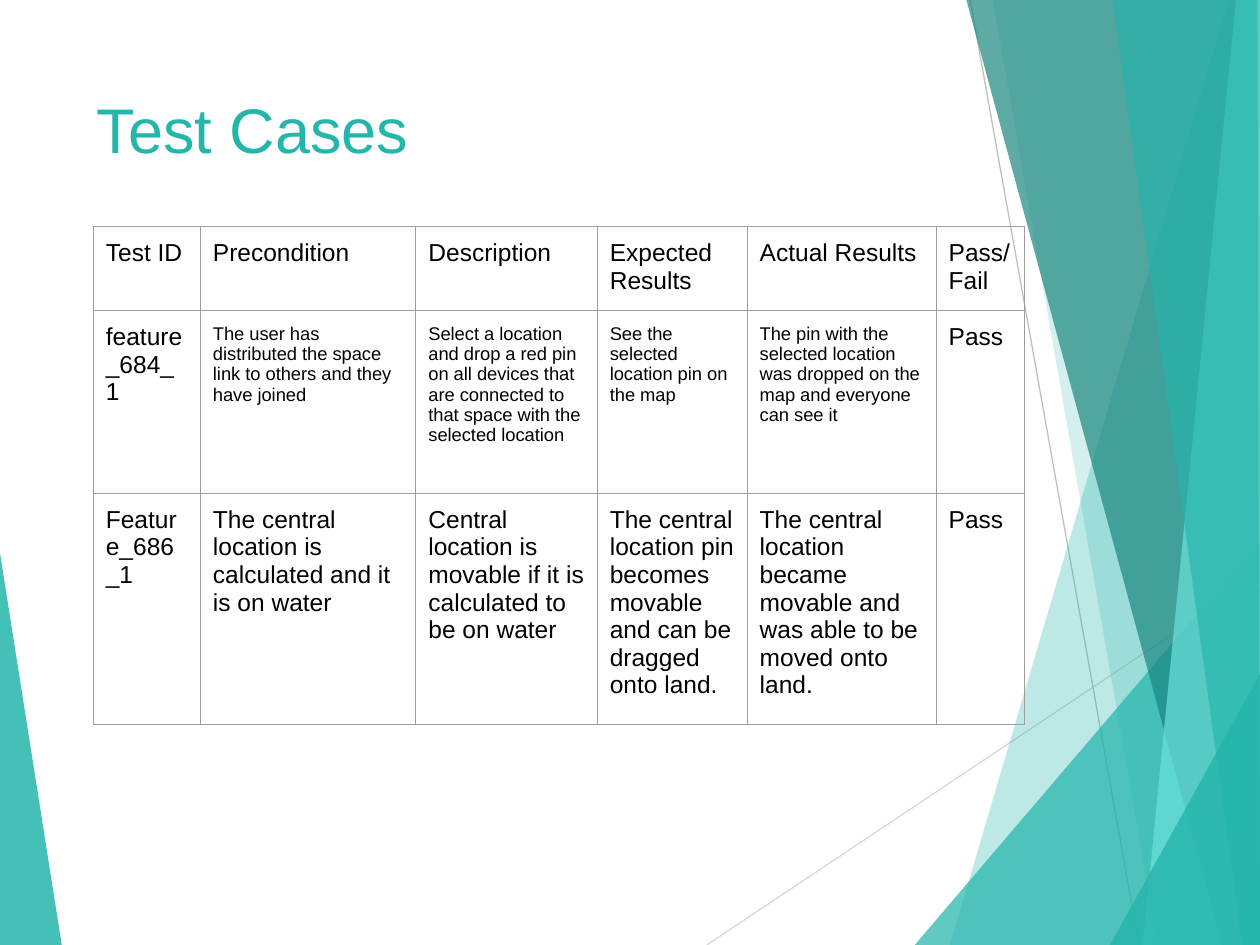
import pptx
import pptx.util
import pptx.dml.color
import pptx.enum.shapes
import pptx.enum.text
from pptx.oxml import parse_xml
from pptx.oxml.ns import qn, nsdecls
from lxml import etree

Inches = pptx.util.Inches
Pt = pptx.util.Pt

COLORS = {
    "teal": "24B5AB",
    "deep": "1A8780",
    "aqua": "6AE2D9",
    "ray_light": "D8D8D8",
    "ray_dark": "BFBFBF",
    "border": "9E9E9E",
    "text": "000000",
}

COLUMN_WIDTHS = [0.85, 1.71, 1.44, 1.19, 1.5, 0.7]
ROW_HEIGHTS = [0.63, 1.45, 1.73]
TEST_CASES = [
    ["Test ID", "Precondition", "Description", "Expected Results",
     "Actual Results", "Pass/Fail"],
    ["feature_684_1",
     "The user has distributed the space link to others and they have joined",
     "Select a location and drop a red pin on all devices that are connected "
     "to that space with the selected location",
     "See the selected location pin on the map",
     "The pin with the selected location was dropped on the map and everyone can see it",
     "Pass"],
    ["Feature_686_1",
     "The central location is calculated and it is on water",
     "Central location is movable if it is calculated to be on water",
     "The central location pin becomes movable and can be dragged onto land.",
     "The central location became movable and was able to be moved onto land.",
     "Pass"],
]


def rgb(name):
    return pptx.dml.color.RGBColor.from_string(COLORS[name])


def write_text(frame, text, size=14, color="text", margins=(0.1, 0.1), space_before=0):
    frame.word_wrap = True
    frame.vertical_anchor = pptx.enum.text.MSO_ANCHOR.TOP
    frame.margin_left = frame.margin_right = Inches(margins[0])
    frame.margin_top = frame.margin_bottom = Inches(margins[1])
    paragraph = frame.paragraphs[0]
    paragraph.space_before = Pt(space_before)
    run = paragraph.add_run()
    run.text = text
    run.font.size = Pt(size)
    run.font.name = "Arial"
    run.font.color.rgb = rgb(color)


def add_facet(slide, points, color, opacity):
    corners = [(Inches(x), Inches(y)) for x, y in points]
    builder = slide.shapes.build_freeform(*corners[0])
    builder.add_line_segments(corners[1:], close=True)
    facet = builder.convert_to_shape()
    facet.shadow.inherit = False
    facet.line.fill.background()
    facet.fill.solid()
    facet.fill.fore_color.rgb = rgb(color)
    tint = facet.fill._xPr.find(qn("a:solidFill"))[0]
    etree.SubElement(tint, qn("a:alpha"), val=str(opacity * 1000))


def add_ray(slide, start, end, color):
    ray = slide.shapes.add_connector(
        pptx.enum.shapes.MSO_CONNECTOR.STRAIGHT,
        *(Inches(value) for value in start + end))
    ray.line.color.rgb = rgb(color)
    ray.line.width = Pt(0.75)
    etree.SubElement(ray._element.spPr, qn("a:effectLst"))


def add_backdrop(slide, left, top, width, height):
    right, bottom = left + width, top + height
    add_facet(slide, [(left, top + 4.39), (left + 0.49, bottom), (left, bottom)], "teal", 85)
    add_ray(slide, (left + 5.61, bottom), (right, top + 4.57), "ray_light")
    add_ray(slide, (left + 7.7, top), (left + 9.04, bottom), "ray_dark")
    facets = [
        (9.75, 0, 7.54, 10, "teal", 30),
        (7.88, 0, 9.19, 10, "teal", 20),
        (10, 4.29, 7.26, 10, "teal", 72),
        (7.67, 0, 9.7, 10, "deep", 70),
        (9.81, 0, 9.07, 10, "aqua", 70),
        (8.83, 0, 9.86, 9.98, "teal", 65),
        (10, 5.35, 8.81, 10, "teal", 80),
    ]
    for upper_x, upper_y, lower_x, upper_right, color, opacity in facets:
        add_facet(slide, [
            (left + upper_x, top + upper_y), (left + lower_x, bottom),
            (right, bottom), (left + upper_right, top + upper_y),
        ], color, opacity)


def add_title(slide, left, top, width, height):
    title = slide.shapes.add_textbox(*(Inches(v) for v in (left, top, width, height)))
    write_text(title.text_frame, "Test Cases", size=36, color="teal", margins=(0.1, 0.05))


def set_borders(cell):
    properties = cell._tc.get_or_add_tcPr()
    for position, side in enumerate(("lnL", "lnR", "lnT", "lnB")):
        properties.insert(position, parse_xml(
            f'<a:{side} {nsdecls("a")} w="{Pt(0.75)}"><a:solidFill>'
            f'<a:srgbClr val="{COLORS["border"]}"/></a:solidFill></a:{side}>'))


def add_test_table(slide, left, top):
    table = slide.shapes.add_table(
        len(ROW_HEIGHTS), len(COLUMN_WIDTHS), Inches(left), Inches(top),
        Inches(sum(COLUMN_WIDTHS)), Inches(sum(ROW_HEIGHTS))).table
    table.first_row = False
    table.horz_banding = False
    for column, width in zip(table.columns, COLUMN_WIDTHS):
        column.width = Inches(width)
    for row, height, texts in zip(table.rows, ROW_HEIGHTS, TEST_CASES):
        row.height = Inches(height)
        for index, (cell, text) in enumerate(zip(row.cells, texts)):
            cell.fill.background()
            set_borders(cell)
            small = texts is TEST_CASES[1] and 0 < index < len(texts) - 1
            cell.margin_left = cell.margin_right = Inches(0.1)
            cell.margin_top = cell.margin_bottom = Inches(0.1)
            write_text(cell.text_frame, text, size=10.5 if small else 14,
                       space_before=4 if small else 0)


def main():
    presentation = pptx.Presentation()
    presentation.slide_width = Inches(10)
    presentation.slide_height = Inches(7.5)
    slide = presentation.slides.add_slide(presentation.slide_layouts[6])
    add_backdrop(slide, 0, 0, 10, 7.5)
    add_title(slide, 0.67, 0.67, 6.94, 1.44)
    add_test_table(slide, 0.74, 1.8)
    presentation.save("out.pptx")


if __name__ == "__main__":
    main()
